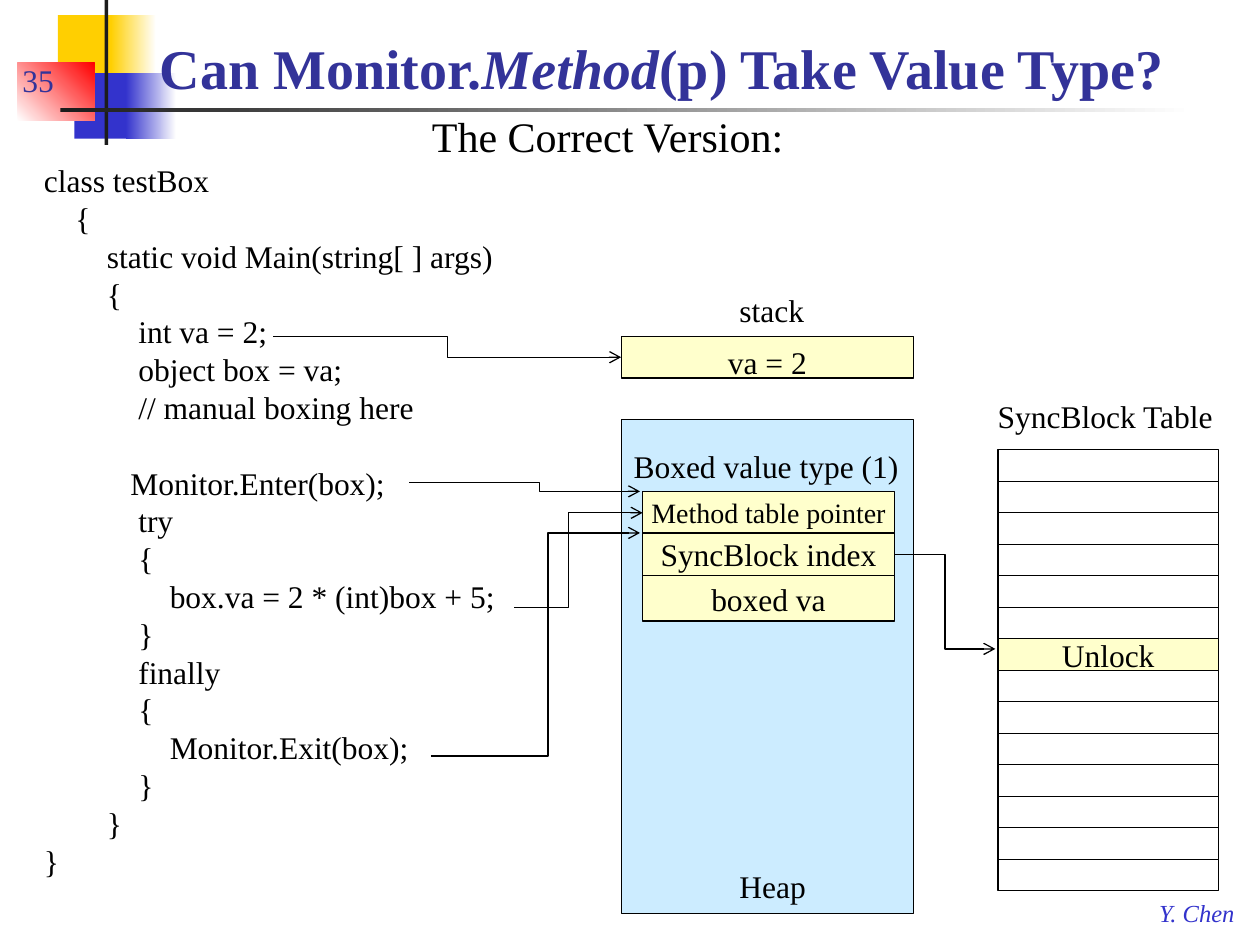
from lxml import etree
from pptx import Presentation, util as u
from pptx.dml.color import RGBColor
from pptx.enum import shapes, text
from pptx.oxml import ns

FONT = "Times New Roman"
BLACK, WHITE, DARK = "000000", "FFFFFF", "1C1C1C"
NAVY, BLUE, GOLD, RED = "333399", "3333CC", "FFCF01", "FF0000"
CREAM, SKY = "FFFFCC", "CCECFF"

CODE = """class testBox
    {
        static void Main(string[ ] args)
        {
            int va = 2;
            object box = va;
            // manual boxing here

           Monitor.Enter(box);
            try
            {
                box.va = 2 * (int)box + 5;
            }
            finally
            {
                Monitor.Exit(box);
            }
        }
}"""


def rgb(value):
    return RGBColor.from_string(value)


def lengths(box):
    return [u.Inches(v) for v in box]


def add_run(paragraph, wording, **formats):
    run = paragraph.add_run()
    run.text = wording
    settings = {"name": FONT, "size": u.Pt(18), **formats}
    color = settings.pop("color", BLACK)
    for name, value in settings.items():
        setattr(run.font, name, value)
    run.font.color.rgb = rgb(color)


def add_label(slide, box, runs, wrap=False, anchor=text.MSO_ANCHOR.TOP):
    frame = slide.shapes.add_textbox(*lengths(box)).text_frame
    frame.word_wrap = wrap
    frame.vertical_anchor = anchor
    for wording, formats in runs:
        add_run(frame.paragraphs[0], wording, **formats)


def add_block(slide, box, fill, outline=None, fade_to=None, angle=0):
    block = slide.shapes.add_shape(shapes.MSO_SHAPE.RECTANGLE, *lengths(box))
    block.shadow.inherit = False
    if fade_to:
        block.fill.gradient()
        block.fill.gradient_angle = angle
        for stop, color in zip(block.fill.gradient_stops, (fill, fade_to)):
            stop.color.rgb = rgb(color)
    else:
        block.fill.solid()
        block.fill.fore_color.rgb = rgb(fill)
    if outline:
        block.line.color.rgb = rgb(outline)
        block.line.width = u.Pt(0.75)
    else:
        block.line.fill.background()
    return block


def add_cell(slide, box, wording, size=18, anchor=text.MSO_ANCHOR.MIDDLE):
    cell = add_block(slide, box, CREAM, BLACK)
    frame = cell.text_frame
    frame.word_wrap = False
    frame.vertical_anchor = anchor
    frame.paragraphs[0].alignment = text.PP_ALIGN.CENTER
    add_run(frame.paragraphs[0], wording, size=u.Pt(size))
    return cell


def style_arrow(arrow):
    arrow.line.color.rgb = rgb(BLACK)
    arrow.line.width = u.Pt(0.75)
    outline = arrow.line.color and arrow._element.spPr.find(ns.qn("a:ln"))
    etree.SubElement(outline, ns.qn("a:tailEnd"), type="arrow")


def add_bent_arrow(slide, start, bend, end):
    corners = [start, (bend, start[1]), (bend, end[1]), end]
    points = [lengths(corner) for corner in corners]
    builder = slide.shapes.build_freeform(*points[0])
    builder.add_line_segments(points[1:], close=False)
    arrow = builder.convert_to_shape()
    arrow.fill.background()
    arrow.shadow.inherit = False
    style_arrow(arrow)


def add_decoration(slide, left, top):
    add_block(slide, (left + 0.32, top + 0.12, 0.48, 0.52), GOLD)
    add_block(slide, (left + 0.74, top + 0.12, 0.36, 0.52), GOLD, fade_to=WHITE)
    add_block(slide, (left + 0.45, top + 0.58, 0.46, 0.52), BLUE)
    add_block(slide, (left + 0.86, top + 0.58, 0.4, 0.52), BLUE, fade_to=WHITE)
    add_block(slide, (left, top + 0.5, 0.61, 0.46), WHITE, fade_to=RED, angle=45)
    add_block(slide, (left + 0.69, top, 0.03, 1.15), DARK)
    add_block(slide, (left + 0.34, top + 0.86, 9, 0.03), DARK, fade_to=WHITE)


def add_heading(slide, left, top):
    bottom = text.MSO_ANCHOR.BOTTOM
    bold = {"size": u.Pt(32), "color": NAVY, "bold": True}
    add_label(slide, (left, top + 0.16, 2.08, 0.5), [("35", {"color": NAVY})], True, bottom)
    title = [
        ("Can Monitor.", bold),
        ("Method", {**bold, "italic": True}),
        ("(p) Take Value Type?", bold),
    ]
    add_label(slide, (left + 1.09, top, 8.67, 0.68), title, True, bottom)
    subtitle = [("The Correct Version:", {"size": u.Pt(24)})]
    add_label(slide, (left + 3.25, top + 0.66, 3.08, 0.51), subtitle, True)


def add_code(slide, box):
    frame = slide.shapes.add_textbox(*lengths(box)).text_frame
    frame.word_wrap = True
    pitch = u.Pt(21.6)
    gap = 0
    paragraph = frame.paragraphs[0]
    for line in CODE.splitlines():
        if not line:
            gap = pitch
            continue
        if paragraph.runs:
            paragraph = frame.add_paragraph()
        paragraph.line_spacing = pitch
        if gap:
            paragraph.space_before = gap
            gap = 0
        add_run(paragraph, line)


def add_stack(slide, left, top, width):
    add_label(slide, (left + 0.84, top - 0.41, 0.72, 0.4), [("stack", {})])
    return add_cell(slide, (left, top, width, 0.33), "va = 2", anchor=text.MSO_ANCHOR.TOP)


def add_heap(slide, left, top, width, height):
    add_block(slide, (left, top, width, height), SKY, BLACK)
    add_label(slide, (left, top + 0.17, width, 0.4), [("Boxed value type (1)", {})])
    add_label(slide, (left + 0.84, top + 3.5, 0.73, 0.4), [("Heap", {})])
    fields = [
        ("Method table pointer", 16, 0.33),
        ("SyncBlock index", 18, 0.34),
        ("boxed va", 18, 0.36),
    ]
    field_top = top + 0.57
    for wording, size, field_height in fields:
        add_cell(slide, (left + 0.17, field_top, 2, field_height), wording, size)
        field_top += field_height


def add_sync_table(slide, left, top, width, rows=14, unlocked=6):
    add_label(slide, (left - 0.1, top - 0.47, 1.93, 0.4), [("SyncBlock Table", {})])
    row_height = 0.25
    for row in range(rows):
        box = (left, top + row * row_height, width, row_height)
        if row == unlocked:
            add_cell(slide, box, "Unlock")
        else:
            add_block(slide, box, WHITE, BLACK)


def add_arrows(slide, stack_cell):
    ends = lengths((2.17, 2.67, 4.93, 2.83))
    to_stack = slide.shapes.add_connector(shapes.MSO_CONNECTOR.ELBOW, *ends)
    to_stack.end_connect(stack_cell, 1)
    style_arrow(to_stack)
    etree.SubElement(to_stack._element.spPr, ns.qn("a:effectLst"))
    for start, bend, end in [
        ((3.25, 3.83), 4.28, (5.08, 3.9)),
        ((4.08, 4.82), 4.51, (5.1, 4.07)),
        ((3.42, 6), 4.35, (5.08, 4.23)),
        ((7.1, 4.4), 7.5, (7.9, 5.15)),
    ]:
        add_bent_arrow(slide, start, bend, end)


def main():
    deck = Presentation()
    deck.slide_width, deck.slide_height = u.Inches(10), u.Inches(7.5)
    slide = deck.slides.add_slide(deck.slide_layouts[6])
    add_decoration(slide, 0.14, 0)
    add_heading(slide, 0.08, 0.17)
    add_code(slide, (0.25, 1.23, 4.08, 5.86))
    stack_cell = add_stack(slide, 4.93, 2.67, 2.32)
    add_heap(slide, 4.93, 3.33, 2.32, 3.92)
    add_sync_table(slide, 7.92, 3.57, 1.75)
    add_arrows(slide, stack_cell)
    author = {"size": u.Pt(14), "color": BLUE, "italic": True}
    add_label(slide, (9.1, 7.08, 0.82, 0.33), [("Y. Chen", author)])
    deck.save("out.pptx")


if __name__ == "__main__":
    main()
